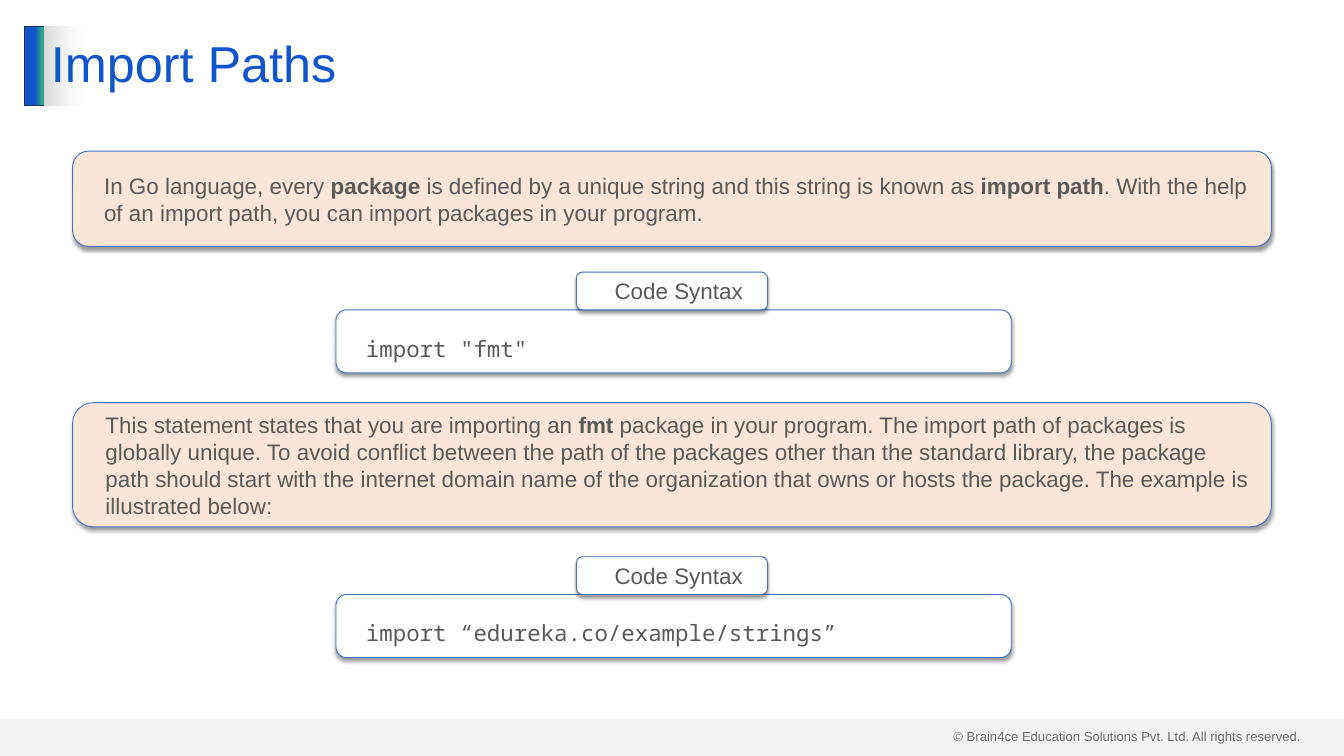
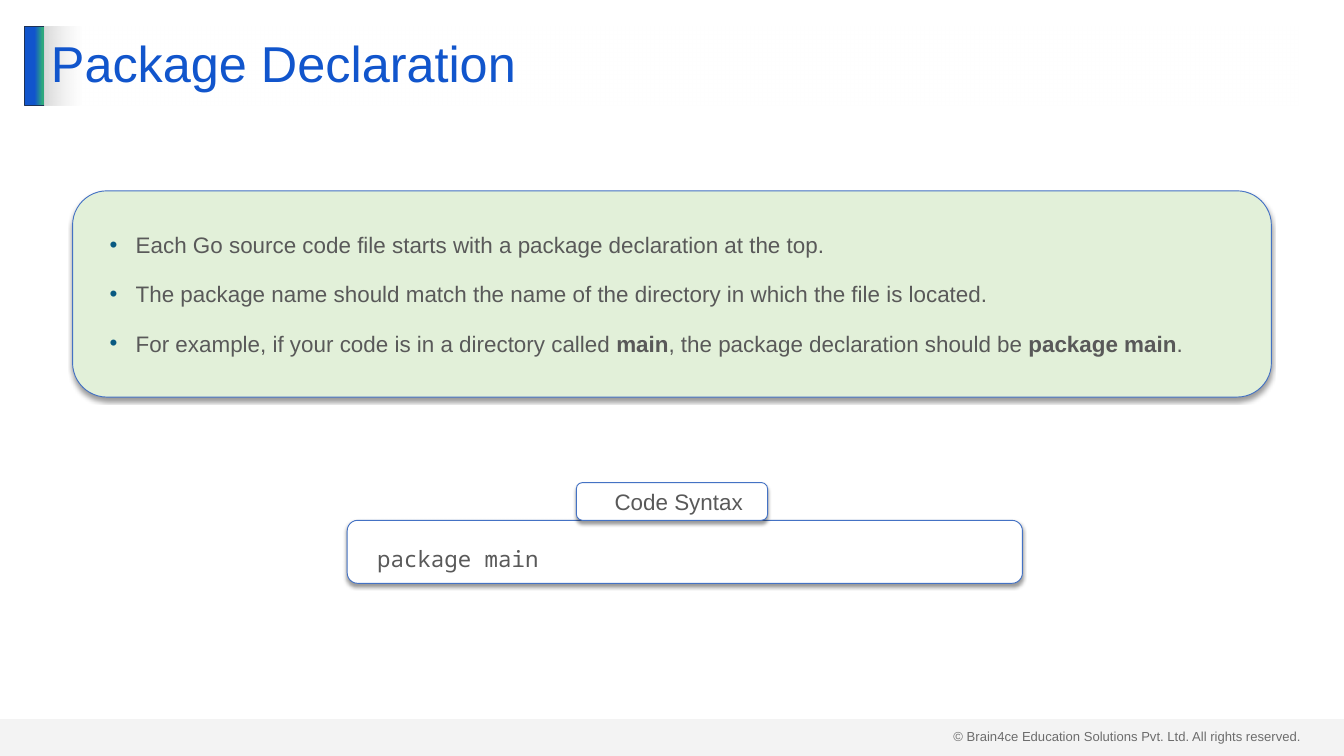
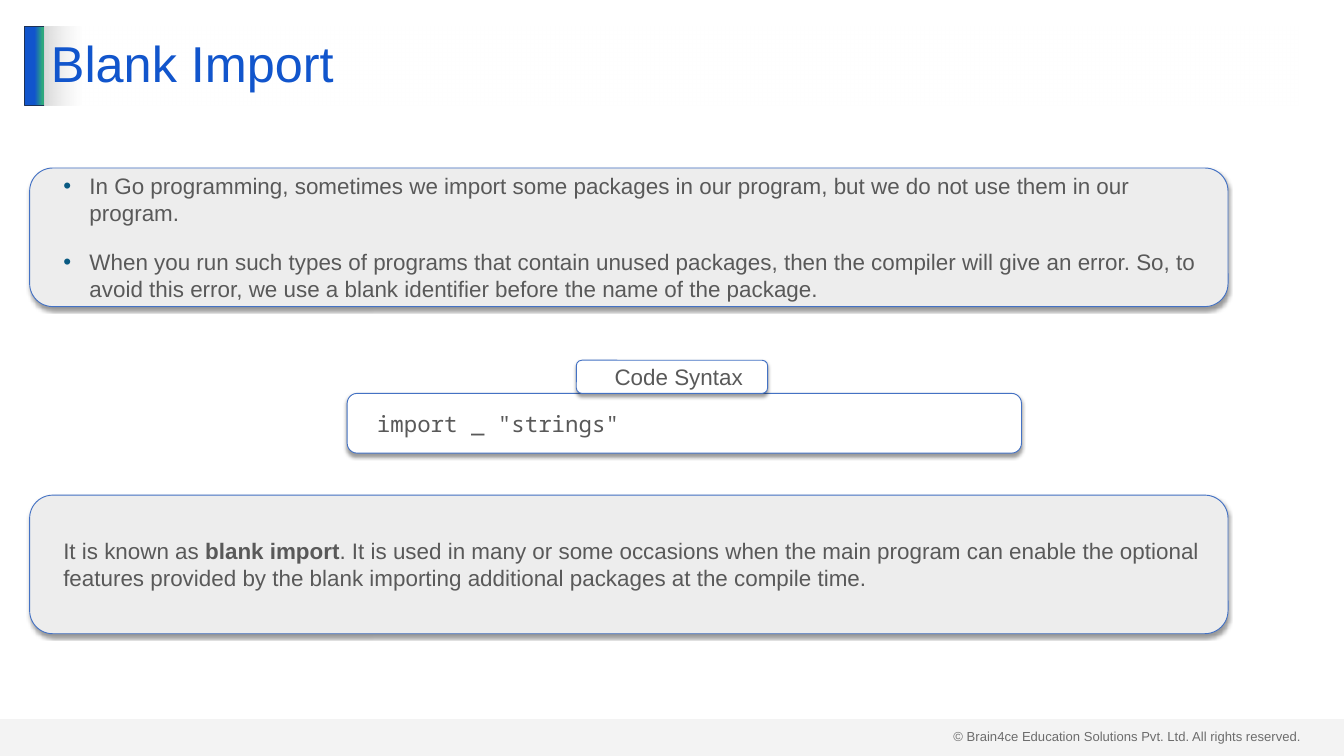
from dataclasses import dataclass

from lxml import etree
from pptx import Presentation
from pptx.dml.color import RGBColor
from pptx.enum.shapes import MSO_SHAPE
from pptx.enum.text import MSO_ANCHOR, PP_ALIGN
from pptx.oxml.ns import qn
from pptx.util import Pt

RECT = MSO_SHAPE.RECTANGLE
ROUND = MSO_SHAPE.ROUNDED_RECTANGLE
MIDDLE = MSO_ANCHOR.MIDDLE
LEFT = PP_ALIGN.LEFT
CENTER = PP_ALIGN.CENTER


@dataclass(frozen=True)
class Theme:
    width: float = 1440
    height: float = 810
    blue: str = "1155CC"
    green: str = "2EA87D"
    navy: str = "1E3256"
    edge: str = "4472C4"
    gray: str = "D9D9D9"
    white: str = "FFFFFF"
    black: str = "000000"
    text: str = "595959"
    legal: str = "404040"
    bullet: str = "095A82"
    peach: str = "FBE5D6"
    mint: str = "E2F0D9"
    silver: str = "EDEDED"
    sans: str = "Arial"
    mono: str = "Noto Sans Mono"
    title: float = 54
    body: float = 24
    small: float = 14
    gap: float = 12
    inset: float = 14.4


THEME = Theme()


def rgb(code):
    return RGBColor.from_string(code)


def add_node(parent, tag, **attrs):
    return etree.SubElement(parent, qn(tag), {key: str(val) for key, val in attrs.items()})


def add_box(slide, kind, box, fill=None, line=None):
    shape = slide.shapes.add_shape(kind, *map(Pt, box))
    shape.shadow.inherit = False
    if fill:
        shape.fill.solid()
        shape.fill.fore_color.rgb = rgb(fill)
    if line:
        shape.line.color.rgb = rgb(line)
        shape.line.width = Pt(1)
    else:
        shape.line.fill.background()
    return shape


def fade(shape, *stops):
    shape.fill.gradient()
    shape.fill.gradient_angle = 0
    for stop, (spot, color) in zip(shape.fill.gradient_stops, stops):
        stop.position = spot
        stop.color.rgb = rgb(color)


def set_alpha(shape, share):
    color = list(shape._element.spPr.iter(qn("a:srgbClr")))[-1]
    add_node(color, "a:alpha", val=share * 1000)


def cast_shade(shape):
    effects = shape._element.spPr.find(qn("a:effectLst"))
    shade = add_node(effects, "a:outerShdw", blurRad=Pt(4), dist=Pt(3),
                     dir=90 * 60000, algn="t", rotWithShape=0)
    color = add_node(shade, "a:srgbClr", val=THEME.black)
    add_node(color, "a:alpha", val=40000)


def style(run, size, color, face=THEME.sans, bold=None):
    run.font.size = Pt(size)
    run.font.color.rgb = rgb(color)
    run.font.name = face
    run.font.bold = bold


def indent(para, bullet):
    props = para._p.get_or_add_pPr()
    props.set("marL", str(Pt(42.5 if bullet else THEME.inset)))
    props.set("indent", str(Pt(-28 if bullet else 0)))
    if bullet:
        color = add_node(props, "a:buClr")
        add_node(color, "a:srgbClr", val=THEME.bullet)
        add_node(props, "a:buFont", typeface=THEME.sans)
        add_node(props, "a:buChar", char="•")


def add_panel(slide, box, fill, texts, bullet=False, face=THEME.sans, align=LEFT, pitch=None):
    panel = add_box(slide, ROUND, box, fill, THEME.edge)
    cast_shade(panel)
    frame = panel.text_frame
    frame.word_wrap = True
    frame.vertical_anchor = MIDDLE
    frame.margin_left = frame.margin_right = Pt(THEME.inset)
    frame.margin_top = frame.margin_bottom = Pt(THEME.inset / 2)
    for index, text in enumerate(texts):
        para = frame.add_paragraph() if index else frame.paragraphs[0]
        indent(para, bullet)
        para.alignment = align
        para.space_before = Pt(THEME.gap if index else 0)
        para.space_after = Pt(THEME.gap)
        if pitch:
            para.line_spacing = pitch
        for part, words in enumerate(text.split("*")):
            run = para.add_run()
            run.text = words
            style(run, THEME.body, THEME.text, face, part % 2 == 1)


def add_code(slide, box, code, tab=40.5, pitch=1.5):
    top = box[1]
    wide = 205
    add_panel(slide, box, THEME.white, [code], face=THEME.mono, pitch=pitch)
    add_panel(slide, ((THEME.width - wide) / 2, top - tab, wide, tab),
              THEME.white, ["Code Syntax"], align=CENTER)


def add_footer(slide, box):
    left, top, width, height = box
    legal = slide.shapes.add_textbox(Pt(left + 1014.5), Pt(top + 7), Pt(389.5), Pt(24.5))
    frame = legal.text_frame
    frame.word_wrap = True
    frame.text = "© Brain4ce Education Solutions Pvt. Ltd. All rights reserved."
    style(frame.paragraphs[0].runs[0], THEME.small, THEME.legal)
    band = add_box(slide, RECT, box, THEME.gray)
    set_alpha(band, 29)


def add_title(slide, box, text):
    left, top, width, height = box
    bar = 21
    mark = add_box(slide, RECT, (left, top, bar, height), line=THEME.navy)
    fade(mark, (0.51, THEME.blue), (0.9, THEME.green))
    head = add_box(slide, RECT, (left + bar, top, width - bar, height))
    fade(head, (0, THEME.gray), (0.03, THEME.white))
    set_alpha(head, 50)
    frame = head.text_frame
    frame.word_wrap = True
    frame.vertical_anchor = MIDDLE
    frame.text = text
    para = frame.paragraphs[0]
    para.alignment = LEFT
    para.line_spacing = 0.9
    style(para.runs[0], THEME.title, THEME.blue)


def add_slide(deck, title):
    slide = deck.slides.add_slide(deck.slide_layouts[6])
    foot = 39.6
    add_footer(slide, (0, THEME.height - foot, THEME.width, foot))
    add_title(slide, (26.5, 28, 1365, 85), title)
    return slide


def build_paths(deck):
    slide = add_slide(deck, "Import Paths")
    left, width = 77.75, 1284.5
    add_panel(slide, (left, 162, width, 102), THEME.peach, [
        "In Go language, every *package* is defined by a unique string and this string is "
        "known as *import path*. With the help of an import path, you can import packages "
        "in your program."])
    add_code(slide, (360, 332, 723.5, 67.5), 'import "fmt"')
    add_panel(slide, (left, 431.5, width, 133), THEME.peach, [
        "This statement states that you are importing an *fmt *package in your program. "
        "The import path of packages is globally unique. To avoid conflict between the path "
        "of the packages other than the standard library, the package path should start with "
        "the internet domain name of the organization that owns or hosts the package. "
        "The example is illustrated below:"])
    add_code(slide, (360, 637, 723.5, 67.5), "import “edureka.co/example/strings”")


def build_package(deck):
    slide = add_slide(deck, "Package Declaration")
    add_panel(slide, (77.75, 204.5, 1284.5, 221), THEME.mint, [
        "Each Go source code file starts with a package declaration at the top.",
        "The package name should match the name of the directory in which the file is located.",
        "For example, if your code is in a directory called *main*, the package declaration "
        "should be *package main*."], bullet=True)
    add_code(slide, (372, 557.5, 723.5, 67.5), "package main")


def build_blank(deck):
    slide = add_slide(deck, "Blank Import")
    left, width, height = 31.75, 1284, 148.5
    add_panel(slide, (left, 180, width, height), THEME.silver, [
        "In Go programming, sometimes we import some packages in our program, but we do not "
        "use them in our program.",
        "When you run such types of programs that contain unused packages, then the compiler "
        "will give an error. So, to avoid this error, we use a blank identifier before the "
        "name of the package."], bullet=True)
    add_code(slide, (372, 421.5, 722.5, 64), 'import _ "strings"', tab=35.5, pitch=1)
    add_panel(slide, (left, 530.5, width, height), THEME.silver, [
        "It is known as *blank import*. It is used in many or some occasions when the main "
        "program can enable the optional features provided by the blank importing additional "
        "packages at the compile time."])


def main():
    deck = Presentation()
    deck.slide_width = Pt(THEME.width)
    deck.slide_height = Pt(THEME.height)
    build_paths(deck)
    build_package(deck)
    build_blank(deck)
    deck.save("out.pptx")


if __name__ == "__main__":
    main()
